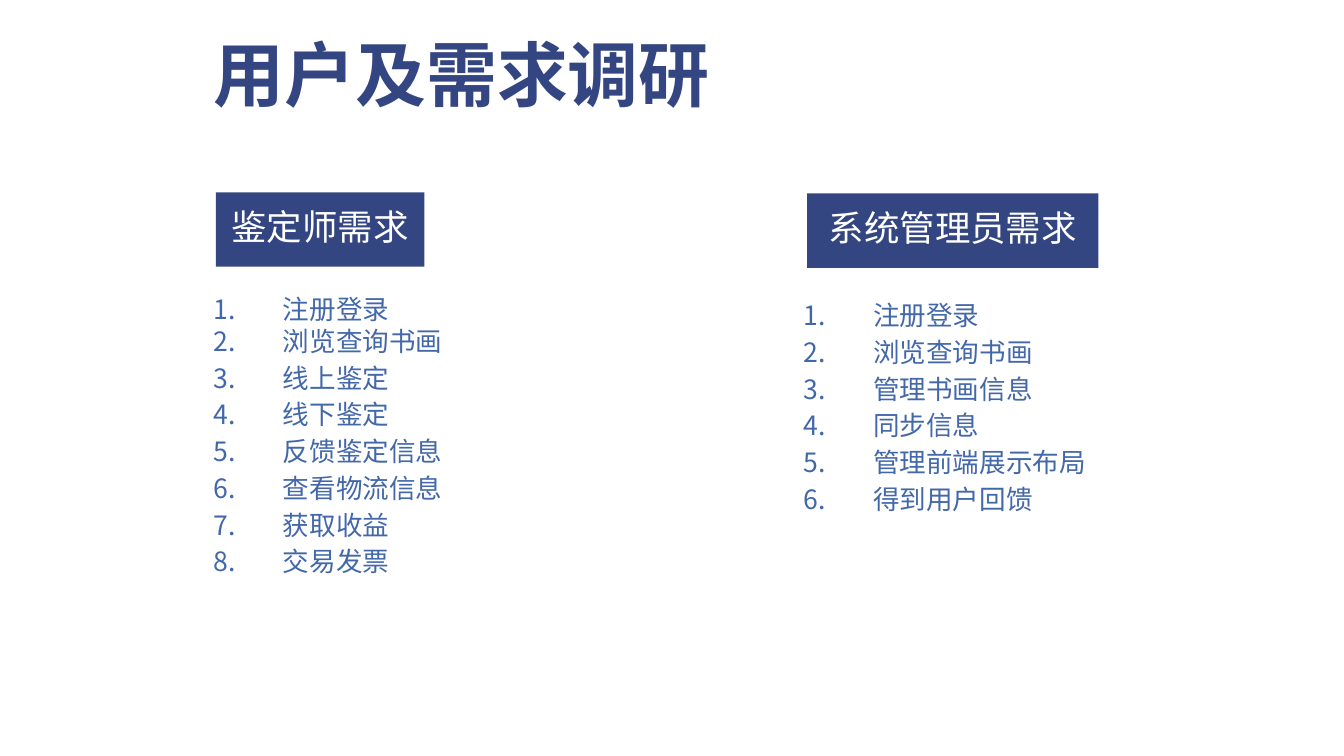
from lxml.etree import SubElement
from pptx import Presentation
from pptx.dml.color import RGBColor
from pptx.enum.shapes import MSO_SHAPE
from pptx.enum.text import MSO_ANCHOR, PP_ALIGN
from pptx.oxml.ns import qn
from pptx.util import Pt

NAVY = RGBColor(0x34, 0x46, 0x82)
BLUE = RGBColor(0x43, 0x68, 0xAA)
WHITE = RGBColor(0xFF, 0xFF, 0xFF)
FONT = "Noto Sans CJK SC"

TITLE = "用户及需求调研"
# Boxes are (left, top, width, height) in points.
COLUMNS = [
    dict(
        heading="鉴定师需求", heading_box=(146.2, 130.3, 141.1, 50.4),
        needs=["注册登录", "浏览查询书画", "线上鉴定", "线下鉴定",
               "反馈鉴定信息", "查看物流信息", "获取收益", "交易发票"],
        list_box=(134.6, 192.2, 180, 210.2), inset_top=6, tight_lines=2,
    ),
    dict(
        heading="系统管理员需求", heading_box=(546.5, 131, 197.3, 50.4),
        needs=["注册登录", "浏览查询书画", "管理书画信息", "同步信息",
               "管理前端展示布局", "得到用户回馈"],
        list_box=(534.2, 192.2, 263.5, 162), inset_top=7, tight_lines=0,
    ),
]
LINE_PITCH, TIGHT_PITCH = 24.9, 21.7
NUMBER_INDENT = 47


def number(p):
    """Turn a paragraph into an automatically numbered list item."""
    pPr = p._p.get_or_add_pPr()
    pPr.set("marL", str(Pt(NUMBER_INDENT)))
    pPr.set("indent", str(-Pt(NUMBER_INDENT)))
    SubElement(pPr, qn("a:buFont")).set("typeface", FONT)
    SubElement(pPr, qn("a:buAutoNum")).set("type", "arabicPeriod")


def write(sp, lines, size, color, bold=False, align=PP_ALIGN.LEFT,
          anchor=MSO_ANCHOR.TOP, top=5, bottom=5, pitches=None):
    """Fill a shape with lines; pitches makes them a numbered list."""
    tf = sp.text_frame
    tf.word_wrap = True
    tf.vertical_anchor = anchor
    tf.margin_left = tf.margin_right = Pt(10)
    tf.margin_top, tf.margin_bottom = Pt(top), Pt(bottom)
    for i, text in enumerate(lines):
        p = tf.add_paragraph() if i else tf.paragraphs[0]
        p.alignment = align
        p.line_spacing = Pt(pitches[i]) if pitches else 1.0
        if pitches:
            number(p)
        r = p.add_run()
        r.text = text
        r.font.name, r.font.size, r.font.bold = FONT, Pt(size), bold
        r.font.color.rgb = color
        SubElement(r._r.get_or_add_rPr(), qn("a:ea")).set("typeface", FONT)


def main():
    prs = Presentation()
    prs.slide_width, prs.slide_height = Pt(910), Pt(512)
    s = prs.slides.add_slide(prs.slide_layouts[5])

    title = s.shapes.title
    title.left, title.top, title.width, title.height = map(
        Pt, (134.6, 13.7, 441.4, 77))
    write(title, [TITLE], 48, NAVY, bold=True, top=7.3, bottom=0)

    for col in COLUMNS:
        sp = s.shapes.add_shape(MSO_SHAPE.RECTANGLE,
                                *map(Pt, col["heading_box"]))
        sp.shadow.inherit = False
        sp.fill.solid()
        sp.fill.fore_color.rgb = NAVY
        sp.line.fill.background()
        write(sp, [col["heading"]], 24, WHITE, align=PP_ALIGN.CENTER,
              anchor=MSO_ANCHOR.MIDDLE, bottom=9)

        needs = col["needs"]
        pitches = [TIGHT_PITCH if i < col["tight_lines"] else LINE_PITCH
                   for i in range(len(needs))]
        write(s.shapes.add_textbox(*map(Pt, col["list_box"])), needs, 18, BLUE,
              top=col["inset_top"], pitches=pitches)

    prs.save("out.pptx")


if __name__ == "__main__":
    main()
